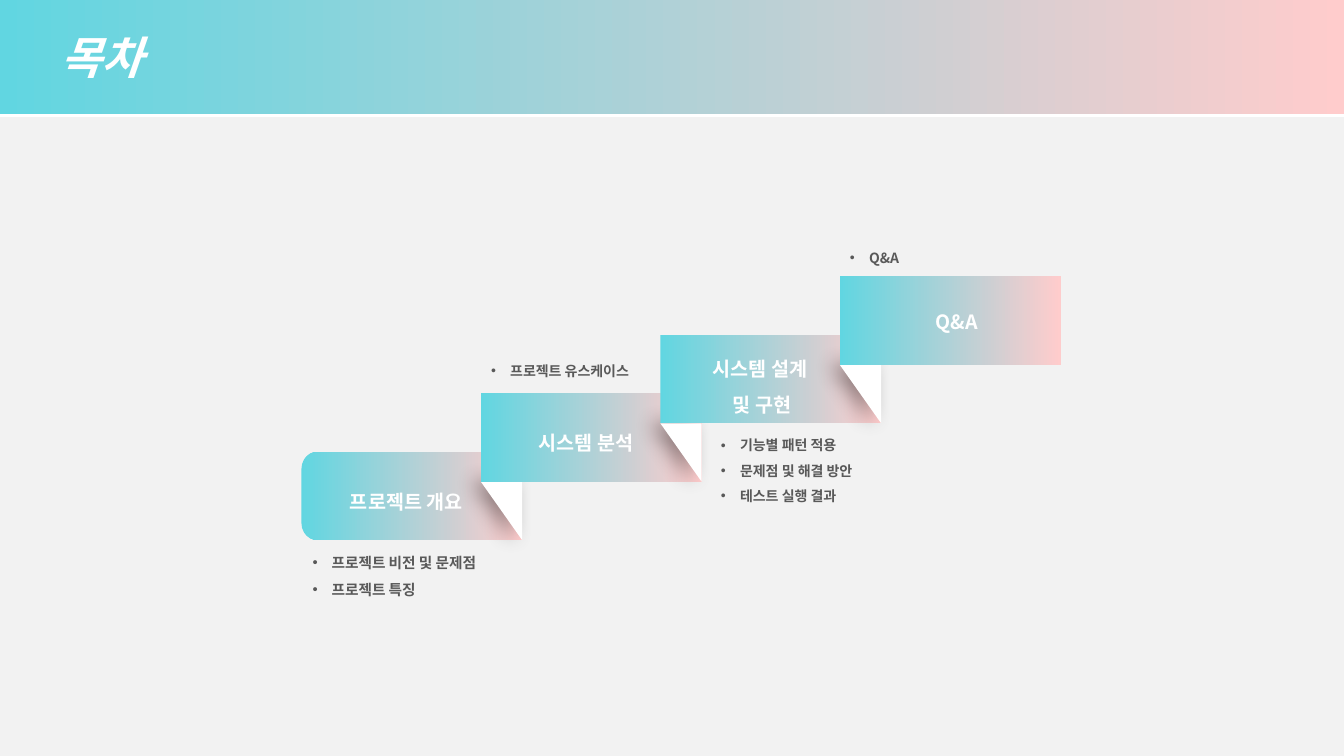
from collections import namedtuple

from lxml import etree
from pptx import Presentation
from pptx.dml.color import RGBColor
from pptx.enum.shapes import MSO_SHAPE
from pptx.enum.text import MSO_ANCHOR, MSO_AUTO_SIZE, PP_ALIGN
from pptx.oxml.ns import qn
from pptx.util import Inches, Pt

RECTANGLE = MSO_SHAPE.RECTANGLE
ROUNDED_END = MSO_SHAPE.ROUND_2_SAME_RECTANGLE
TRIANGLE = MSO_SHAPE.RIGHT_TRIANGLE
LEFT, CENTER, RIGHT = PP_ALIGN.LEFT, PP_ALIGN.CENTER, PP_ALIGN.RIGHT
TOP, MIDDLE = MSO_ANCHOR.TOP, MSO_ANCHOR.MIDDLE
GROW, FIXED = MSO_AUTO_SIZE.SHAPE_TO_FIT_TEXT, MSO_AUTO_SIZE.NONE

FONT = "Noto Sans CJK KR"
WHITE, GRAY, PAPER, BLACK = "FFFFFF", "595959", "F2F2F2", "000000"
GRADIENT = ("61D6E1", "FFCCCC")
COMPARISON_LAYOUT = 4
STEP_WIDTH, STEP_HEIGHT = 2.19, 0.88
PITCH, RISE = 1.78, 0.58
FIRST_LEFT, FIRST_TOP = 2.99, 4.48

Box = namedtuple("Box", "left top width height")
Step = namedtuple("Step", "label label_box align items list_box size")

STEPS = [
    Step(["프로젝트 개요"], Box(0.25, 0.21, 1.45, 0.45), RIGHT,
         ["프로젝트 비전 및 문제점", "프로젝트 특징"], Box(0.01, 0.88, 2.87, 0.6), 10.5),
    Step(["시스템 분석"], Box(0.36, 0.21, 1.25, 0.45), RIGHT,
         ["프로젝트 유스케이스"], Box(0, -0.44, 2.87, 0.32), 10),
    Step(["시스템 설계 ", "및 구현"], Box(0.35, 0.06, 1.32, 0.76), CENTER,
         ["기능별 패턴 적용", "문제점 및 해결 방안", "테스트 실행 결과"],
         Box(0.5, 0.88, 2.87, 0.83), 10),
    Step(["Q&A"], Box(0.81, 0.17, 0.66, 0.41), RIGHT,
         ["Q&A"], Box(0, -0.4, 2.87, 0.32), 10),
]


def color(value):
    """Turn a hex string into a colour."""
    return RGBColor.from_string(value)


def place(shape, box):
    """Move and size a shape to a box given in inches."""
    shape.left, shape.top, shape.width, shape.height = map(Inches, box)


def within(box, offset):
    """Return a box whose offset is measured from another box."""
    return Box(box.left + offset.left, box.top + offset.top, offset.width, offset.height)


def fill_gradient(shape, angle):
    """Fill a shape with the theme gradient at a counterclockwise angle."""
    shape.fill.gradient()
    shape.fill.gradient_angle = angle
    for stop, value in zip(shape.fill.gradient_stops, GRADIENT):
        stop.color.rgb = color(value)


def add_shadow(shape, value, opacity, blur, distance, direction):
    """Give a shape an outer shadow, lengths in points."""
    shape.shadow.inherit = False
    effects = shape._element.spPr.find(qn("a:effectLst"))
    shadow = etree.SubElement(
        effects, qn("a:outerShdw"), blurRad=str(Pt(blur)), dist=str(Pt(distance)),
        dir=str(direction * 60000), algn="ctr", rotWithShape="0")
    tint = etree.SubElement(shadow, qn("a:srgbClr"), val=value)
    etree.SubElement(tint, qn("a:alpha"), val=str(opacity * 1000))


def write(frame, lines, size, value, align, spacing=1.5, italic=False):
    """Fill a text frame with bold lines in one format."""
    frame.text = "\n".join(lines)
    for para in frame.paragraphs:
        para.alignment = align
        para.line_spacing = spacing
        para.space_before = Pt(0)
        for span in para.runs:
            span.font.size = Pt(size)
            span.font.bold = True
            span.font.italic = italic
            span.font.color.rgb = color(value)
            span.font.name = FONT
            etree.SubElement(span.font._element, qn("a:ea"), typeface=FONT)


def set_indent(para, margin, first_line):
    """Set the left margin and first line indent of a paragraph in inches."""
    properties = para._p.get_or_add_pPr()
    properties.set("marL", str(Inches(margin)))
    properties.set("indent", str(Inches(first_line)))
    return properties


def build_header(title, box):
    """Turn the title placeholder into the gradient header band."""
    place(title, box)
    fill_gradient(title, 0)
    add_shadow(title, WHITE, 100, 0, 2, 90)
    frame = title.text_frame
    frame.auto_size = FIXED
    frame.vertical_anchor = MIDDLE
    write(frame, ["목차"], 32, WHITE, LEFT, 1.0, True)
    set_indent(frame.paragraphs[0], 0.5, 0)


def build_step(page, box, preset):
    """Draw one stair as an upright preset turned on its side."""
    shift = (box.width - box.height) / 2
    upright = Box(box.left + shift, box.top - shift, box.height, box.width)
    step = page.shapes.add_shape(preset, *map(Inches, upright))
    step.rotation = 270
    if preset == ROUNDED_END:
        step.adjustments[0] = 0.19
        step.adjustments[1] = 0
    fill_gradient(step, 270)
    step.line.fill.background()
    step.shadow.inherit = False


def build_fold(page, box):
    """Draw the white fold that joins a stair to the next one."""
    corner = Box(PITCH, box.height - RISE, box.width - PITCH, RISE)
    fold = page.shapes.add_shape(TRIANGLE, *map(Inches, within(box, corner)))
    fold._element.spPr.xfrm.set("flipH", "1")
    fold._element.spPr.xfrm.set("flipV", "1")
    fold.fill.solid()
    fold.fill.fore_color.rgb = color(WHITE)
    fold.line.fill.background()
    add_shadow(fold, BLACK, 40, 15, 7, 180)


def build_label(page, box, step):
    """Write the name of a stair on it."""
    label = page.shapes.add_textbox(*map(Inches, within(box, step.label_box)))
    label.text_frame.word_wrap = False
    label.text_frame.auto_size = GROW
    write(label.text_frame, step.label, 14, WHITE, step.align)


def build_list(body, box, step):
    """Write the bulleted topics of a stair in a body placeholder."""
    place(body, within(box, step.list_box))
    frame = body.text_frame
    frame.word_wrap = True
    frame.auto_size = GROW
    frame.vertical_anchor = TOP
    write(frame, step.items, step.size, GRAY, LEFT)
    for para in frame.paragraphs:
        properties = set_indent(para, 0.19, -0.19)
        etree.SubElement(properties, qn("a:buFont"), typeface="Arial")
        etree.SubElement(properties, qn("a:buChar"), char="•")


def build_contents(page):
    """Lay out the header and the staircase of contents."""
    page.background.fill.solid()
    page.background.fill.fore_color.rgb = color(PAPER)
    title, *bodies = page.placeholders
    build_header(title, Box(0, 0, 13.33, 1.13))
    boxes = [Box(FIRST_LEFT + PITCH * index, FIRST_TOP - RISE * index, STEP_WIDTH, STEP_HEIGHT)
             for index in range(len(STEPS))]
    for box in boxes:
        build_step(page, box, ROUNDED_END if box == boxes[0] else RECTANGLE)
        if box != boxes[-1]:
            build_fold(page, box)
    for step, box, body in zip(STEPS, boxes, bodies):
        build_list(body, box, step)
        build_label(page, box, step)


def main():
    """Build the deck and save it."""
    deck = Presentation()
    deck.slide_width, deck.slide_height = Inches(13.33), Inches(7.5)
    build_contents(deck.slides.add_slide(deck.slide_layouts[COMPARISON_LAYOUT]))
    deck.save("out.pptx")


if __name__ == "__main__":
    main()
